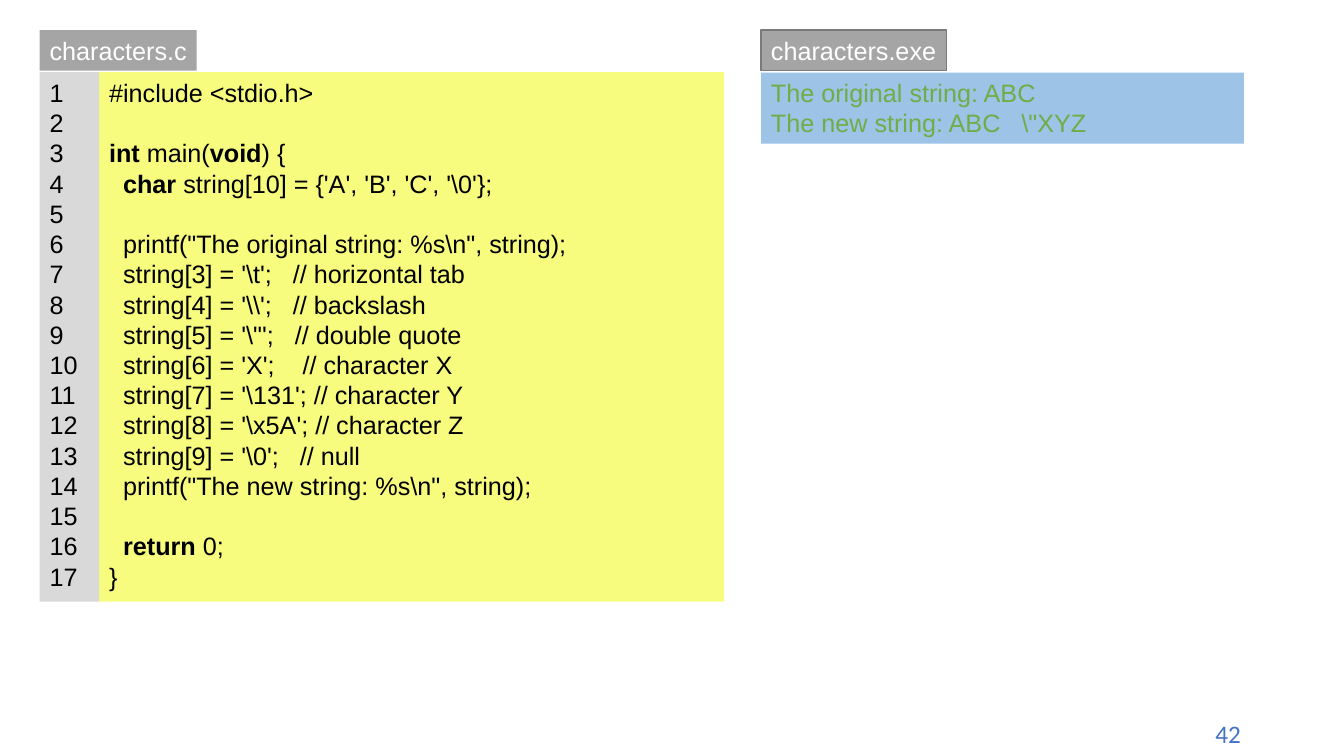
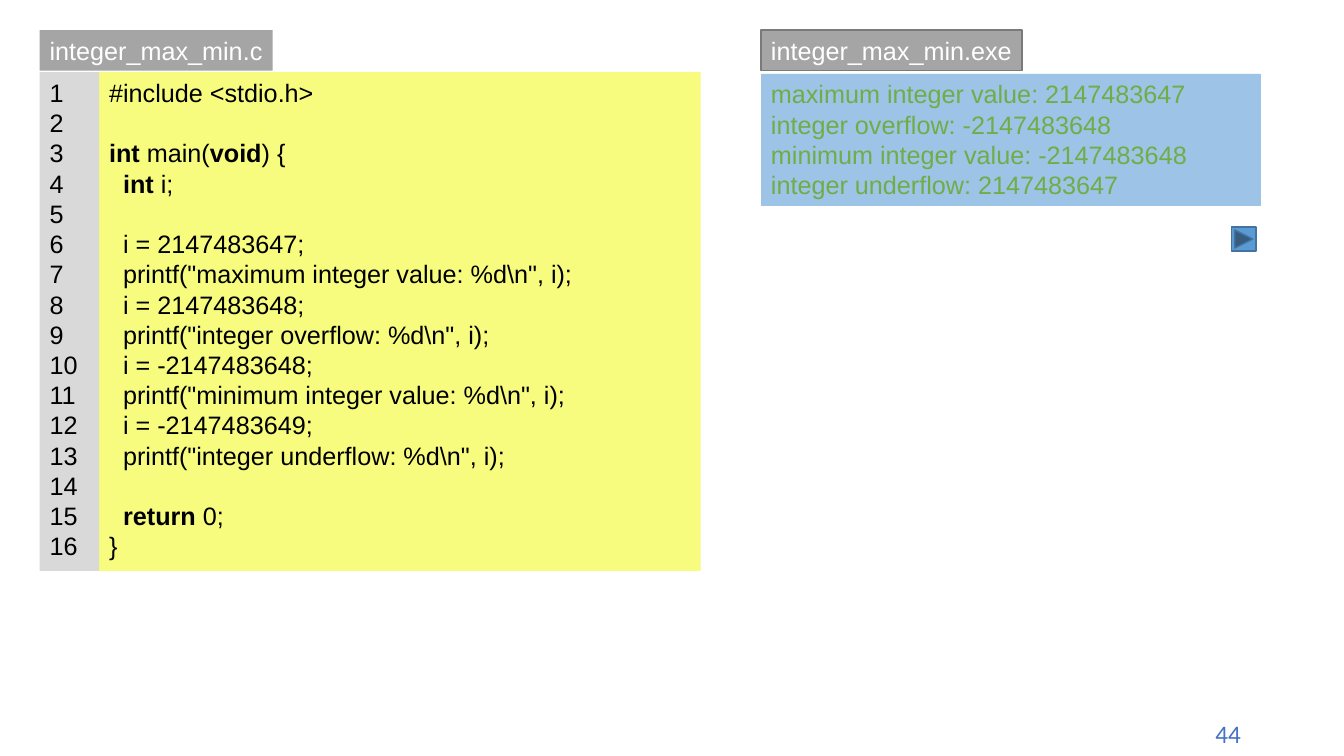
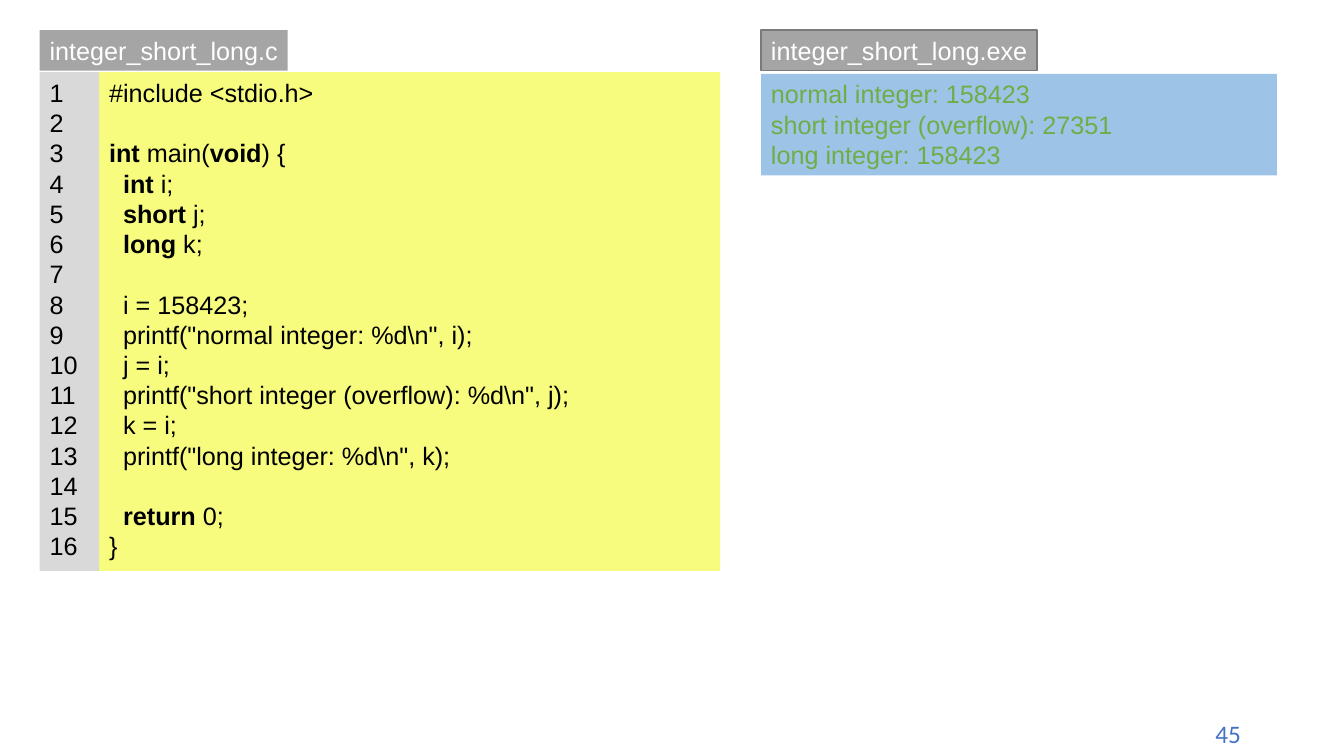
"""Build three slides that each show a C program beside its output."""
from lxml.etree import SubElement
from pptx import Presentation
from pptx.dml.color import RGBColor
from pptx.enum.shapes import MSO_SHAPE
from pptx.enum.text import MSO_ANCHOR, PP_ALIGN
from pptx.oxml.ns import qn
from pptx.util import Cm, Pt

BLACK, WHITE = "000000", "FFFFFF"
TAG_FILL, TAG_LINE = "A5A5A5", "7A7A7A"
CODE_FILL, NUMBER_FILL = "F7FC7E", "D9D9D9"
OUTPUT_FILL, OUTPUT_TEXT = "9DC3E6", "70AD47"
BUTTON_FILL, BUTTON_LINE = "5B9BD5", "43739E"
PAGE_NUMBER = "4472C4"

TEXT_SIZE = 18
LINE_HEIGHT, PADDING = 0.77, 0.25
LEFT, RIGHT = 1, 19.18
TAG_TOP, PANEL_TOP = 0.76, 1.82
NUMBER_WIDTH = 1.5
EXE_EXTRA_WIDTH = 0.71
BOLD = "**"

CHARACTERS_CODE = r"""#include <stdio.h>

**int **main(**void**) {
  **char **string[10] = {'A', 'B', 'C', '\0'};

  printf("The original string: %s\n", string);
  string[3] = '\t';   // horizontal tab
  string[4] = '\\';   // backslash
  string[5] = '\"';   // double quote
  string[6] = 'X';    // character X
  string[7] = '\131'; // character Y
  string[8] = '\x5A'; // character Z
  string[9] = '\0';   // null
  printf("The new string: %s\n", string);

  **return **0;
}"""

CHARACTERS_OUTPUT = r"""The original string: ABC
The new string: ABC   \"XYZ"""

MAX_MIN_CODE = r"""#include <stdio.h>

**int **main(**void**) {
  **int **i;

  i = 2147483647;
  printf("maximum integer value: %d\n", i);
  i = 2147483648;
  printf("integer overflow: %d\n", i);
  i = -2147483648;
  printf("minimum integer value: %d\n", i);
  i = -2147483649;
  printf("integer underflow: %d\n", i);

  **return **0;
}"""

MAX_MIN_OUTPUT = """maximum integer value: 2147483647
integer overflow: -2147483648
minimum integer value: -2147483648
integer underflow: 2147483647"""

SHORT_LONG_CODE = r"""#include <stdio.h>

**int **main(**void**) {
  **int **i;
  **short **j;
  **long **k;

  i = 158423;
  printf("normal integer: %d\n", i);
  j = i;
  printf("short integer (overflow): %d\n", j);
  k = i;
  printf("long integer: %d\n", k);

  **return **0;
}"""

SHORT_LONG_OUTPUT = """normal integer: 158423
short integer (overflow): 27351
long integer: 158423"""


def color(value):
    """Turn a hex string into a colour."""
    return RGBColor.from_string(value)


def height_of(text):
    """Return the height in centimetres of a box that fits the text."""
    return LINE_HEIGHT * len(text.split("\n")) + PADDING


def write(box, text, ink=BLACK, font="Arial", size=TEXT_SIZE, align=PP_ALIGN.LEFT):
    """Write lines into a box, with bold parts between double asterisks."""
    frame = box.text_frame
    frame.word_wrap = True
    frame.vertical_anchor = MSO_ANCHOR.TOP
    for index, line in enumerate(text.split("\n")):
        para = frame.add_paragraph() if index else frame.paragraphs[0]
        para.alignment = align
        for part, words in enumerate(line.split(BOLD)):
            if words:
                span = para.add_run()
                span.text = words
                span.font.name = font
                span.font.size = Pt(size)
                span.font.bold = part % 2 == 1
                span.font.color.rgb = color(ink)
        if not line:
            ending = SubElement(para._p, qn("a:endParaRPr"), sz=str(size * 100))
            SubElement(ending, qn("a:latin"), typeface=font)


def add_box(shapes, left, top, width, height, fill, line=None, kind=MSO_SHAPE.RECTANGLE):
    """Add a flat filled shape with an optional outline."""
    box = shapes.add_shape(kind, Cm(left), Cm(top), Cm(width), Cm(height))
    box.shadow.inherit = False
    box.fill.solid()
    box.fill.fore_color.rgb = color(fill)
    if line:
        box.line.color.rgb = color(line)
        box.line.width = Pt(1)
    else:
        box.line.fill.background()
    return box


def add_panel(shapes, text, left, top, width, fill, ink=BLACK, line=None):
    """Add a box of text whose height follows its number of lines."""
    box = add_box(shapes, left, top, width, height_of(text), fill, line)
    box.text_frame.margin_right = 0
    write(box, text, ink=ink)


def add_code(page, code, width):
    """Add a listing with its column of line numbers."""
    group = page.shapes.add_group_shape()
    count = len(code.split("\n"))
    numbers = "\n".join(str(number) for number in range(1, count + 1))
    add_panel(group.shapes, code, LEFT + NUMBER_WIDTH, PANEL_TOP, width, CODE_FILL)
    add_panel(group.shapes, numbers, LEFT, PANEL_TOP, NUMBER_WIDTH, NUMBER_FILL)


def add_page_number(page, number):
    """Add the page number at the lower right."""
    box = page.shapes.add_textbox(Cm(27.53), Cm(17.98), Cm(3.99), Cm(1.02))
    write(box, str(number), ink=PAGE_NUMBER, font="Calibri", align=PP_ALIGN.RIGHT)


def add_program_page(deck, number, name, tag_width, code, code_width,
                     output, output_width, output_top):
    """Add a page with a program on the left and its output on the right."""
    page = deck.slides.add_slide(deck.slide_layouts[6])
    add_page_number(page, number)
    add_panel(page.shapes, name + ".c", LEFT, TAG_TOP, tag_width, TAG_FILL, ink=WHITE)
    add_panel(page.shapes, output, RIGHT, output_top, output_width, OUTPUT_FILL,
              ink=OUTPUT_TEXT)
    add_panel(page.shapes, name + ".exe", RIGHT, TAG_TOP, tag_width + EXE_EXTRA_WIDTH,
              TAG_FILL, ink=WHITE, line=TAG_LINE)
    add_code(page, code, code_width)
    return page


def main():
    """Build and save the deck."""
    deck = Presentation()
    deck.slide_width, deck.slide_height = Cm(33.87), Cm(19.05)
    add_program_page(deck, 42, "characters", 3.96, CHARACTERS_CODE, 15.75,
                     CHARACTERS_OUTPUT, 12.17, 1.83)
    page = add_program_page(deck, 44, "integer_max_min", 5.87, MAX_MIN_CODE, 15.16,
                            MAX_MIN_OUTPUT, 12.6, 1.86)
    add_box(page.shapes, 31.04, 5.72, 0.61, 0.61, BUTTON_FILL, line=BUTTON_LINE,
            kind=MSO_SHAPE.ACTION_BUTTON_FORWARD_OR_NEXT)
    add_program_page(deck, 45, "integer_short_long", 6.25, SHORT_LONG_CODE, 15.65,
                     SHORT_LONG_OUTPUT, 13, 1.86)
    deck.save("out.pptx")


if __name__ == "__main__":
    main()
